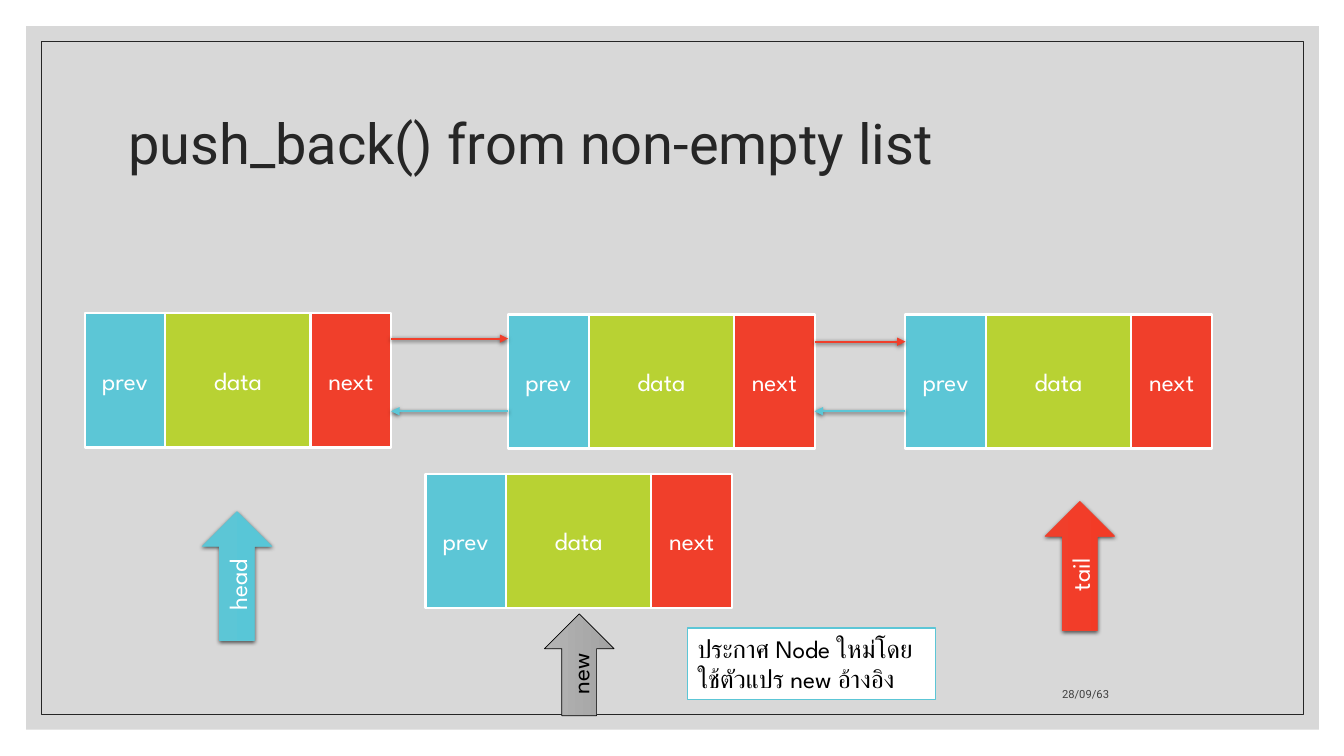
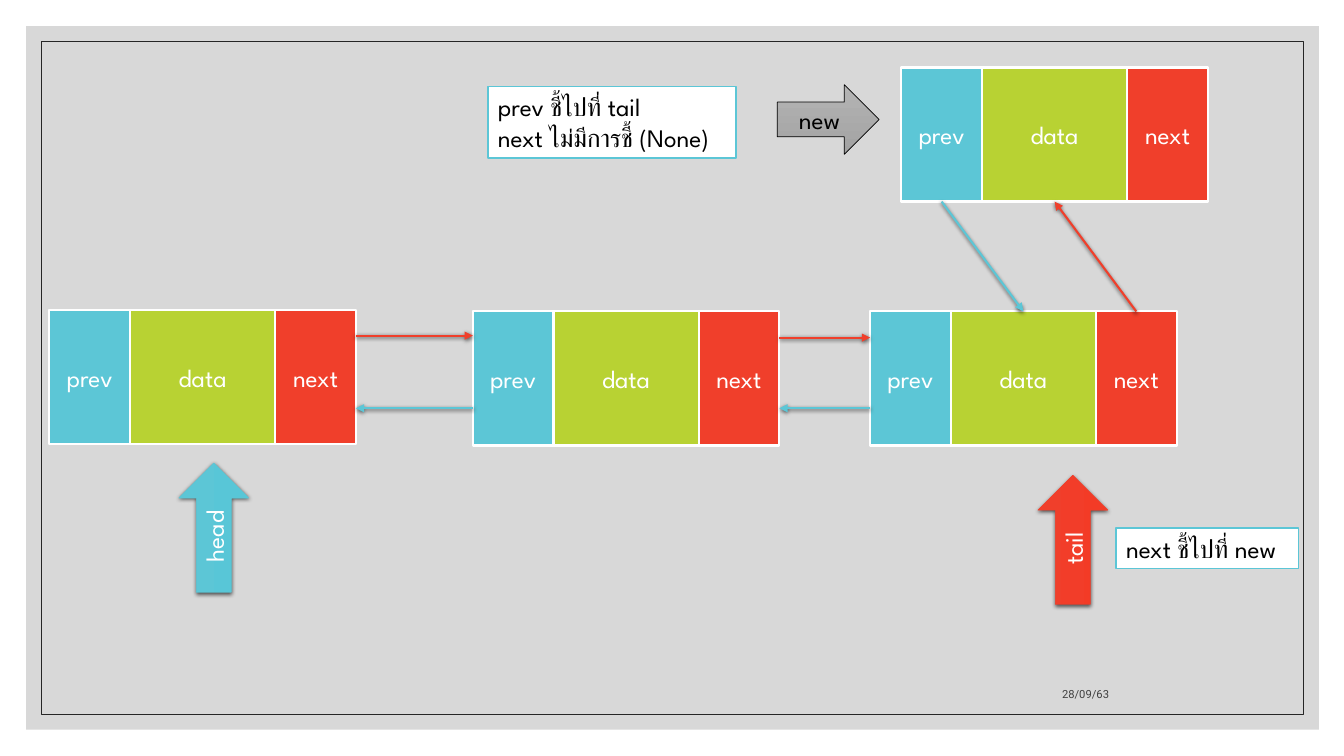
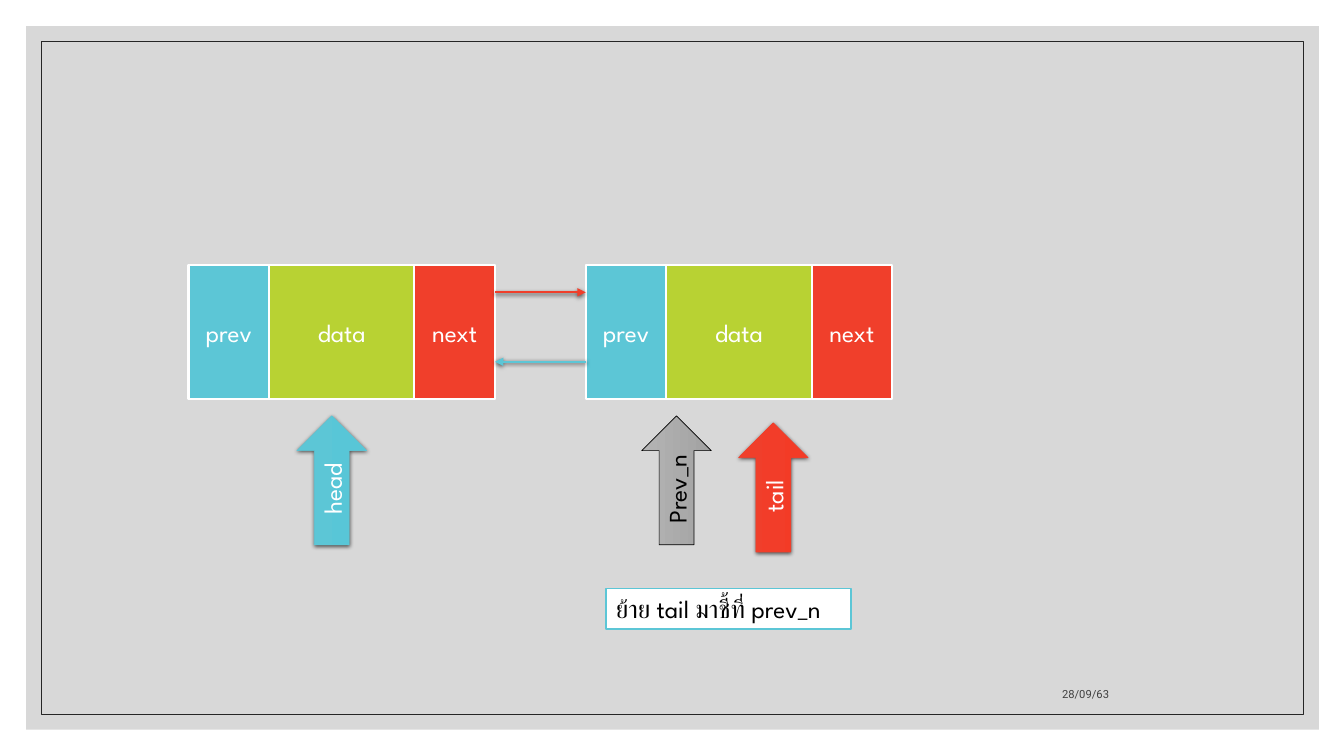
from dataclasses import dataclass

from lxml.etree import SubElement
from pptx import Presentation
from pptx.dml.color import RGBColor as Color
from pptx.enum.shapes import MSO_CONNECTOR as Connector, MSO_SHAPE as Preset
from pptx.enum.text import MSO_ANCHOR as Anchor, MSO_AUTO_SIZE as AutoSize, PP_ALIGN as Align
from pptx.oxml.ns import qn
from pptx.util import Inches, Pt


@dataclass(frozen=True)
class Theme:
    body_font: str = "League Spartan"
    title_font: str = "Roboto"
    title_size: int = 40
    body_size: int = 18
    date_size: int = 8
    panel: str = "BFBFBF"
    ink: str = "262626"
    date_ink: str = "404040"
    black: str = "000000"
    white: str = "FFFFFF"
    cyan: str = "5CC6D6"
    lime: str = "B8D233"
    red: str = "F03F2B"


THEME = Theme()
NODE_CELLS = (("prev", 0.8, THEME.cyan), ("data", 1.44, THEME.lime), ("next", 0.8, THEME.red))
NODE_HEIGHT = 1.33
PREV_DROP = 0.96
POINTERS = {
    "head": {"stops": (THEME.cyan, "58C6D7"), "line": THEME.cyan, "ink": THEME.white, "shadow": True},
    "tail": {"stops": (THEME.red, "F33B26"), "line": THEME.red, "ink": THEME.white, "shadow": True},
    "work": {"stops": ("B4B4B4", "A2A2A2"), "line": THEME.black, "ink": THEME.black, "shadow": False},
}


def rgb(value):
    return Color.from_string(value)


def apply(target, values):
    for name, value in values.items():
        setattr(target, name, value)


def box(left, top, width, height):
    return [Inches(value) for value in (left, top, width, height)]


def write(shape, lines, ink, size=THEME.body_size, font=THEME.body_font, frame=None, paragraph_format=None):
    text_frame = shape.text_frame
    apply(text_frame, {"word_wrap": True, **(frame or {})})
    text_frame.text = "\n".join(lines)
    for paragraph in text_frame.paragraphs:
        apply(paragraph, paragraph_format or {})
        for run in paragraph.runs:
            apply(run.font, {"name": font, "size": Pt(size)})
            run.font.color.rgb = rgb(ink)


def outline(shape, color, width):
    shape.line.color.rgb = rgb(color)
    shape.line.width = Pt(width)


def paint(shape, color):
    shape.fill.solid()
    shape.fill.fore_color.rgb = rgb(color)


def add_preset(shapes, preset, place):
    shape = shapes.add_shape(preset, *box(*place))
    shape.shadow.inherit = False
    return shape


def add_soft_shadow(effects):
    shadow = SubElement(effects, qn("a:outerShdw"), blurRad="38100", dist="12700", dir="5400000", rotWithShape="0")
    color = SubElement(shadow, qn("a:srgbClr"), val=THEME.black)
    SubElement(color, qn("a:alpha"), val="63000")


def move_frame_to_master(slide, master):
    panel = add_preset(slide.shapes, Preset.RECTANGLE, (0.26, 0.26, 12.82, 6.98))
    paint(panel, THEME.panel)
    SubElement(panel.element.find(".//" + qn("a:srgbClr")), qn("a:alpha"), val="60000")
    panel.line.fill.background()
    border = add_preset(slide.shapes, Preset.RECTANGLE, (0.41, 0.41, 12.52, 6.68))
    border.fill.background()
    outline(border, THEME.ink, 0.5)
    for index, shape in enumerate((panel, border)):
        shape.element.find(".//" + qn("p:cNvPr")).set("id", str(100 + index))
        master.shapes.element.insert(2 + index, shape.element)


def add_title(slide, text):
    title = slide.shapes.title
    apply(title, dict(zip(("left", "top", "width", "height"), box(1.17, 0.7, 11, 1.5))))
    write(title, [text], THEME.ink, THEME.title_size, THEME.title_font,
          {"vertical_anchor": Anchor.MIDDLE, "auto_size": AutoSize.NONE},
          {"alignment": Align.LEFT, "line_spacing": 0.9})


def add_date(slide):
    date = slide.shapes.add_textbox(*box(7.94, 6.6, 3.16, 0.4))
    write(date, ["28/09/63"], THEME.date_ink, THEME.date_size, THEME.title_font,
          {"vertical_anchor": Anchor.BOTTOM}, {"alignment": Align.RIGHT})


def add_node(slide, left, top):
    group = slide.shapes.add_group_shape()
    cells = {}
    for name, width, color in NODE_CELLS:
        cell = add_preset(group.shapes, Preset.RECTANGLE, (left, top, width, NODE_HEIGHT))
        paint(cell, color)
        outline(cell, THEME.white, 1.5)
        write(cell, [name], THEME.white, paragraph_format={"alignment": Align.CENTER})
        cells[name] = cell
        left += width
    return cells


def add_arrow(slide, color, start=(0, 0), end=(0, 0)):
    arrow = slide.shapes.add_connector(Connector.STRAIGHT, *start, *end)
    outline(arrow, color, 1.5)
    SubElement(arrow.line._get_or_add_ln(), qn("a:tailEnd"), type="triangle")
    add_soft_shadow(SubElement(arrow.element.spPr, qn("a:effectLst")))
    return arrow


def join_cells(slide, color, source, source_side, target, target_side):
    arrow = add_arrow(slide, color)
    arrow.begin_connect(source, source_side)
    arrow.end_connect(target, target_side)


def add_chain(slide, places, next_drops):
    nodes = [add_node(slide, *place) for place in places]
    for before, after, next_drop in zip(nodes, nodes[1:], next_drops):
        left = before["next"].left + before["next"].width
        right = after["prev"].left
        next_y, prev_y = (after["prev"].top + Inches(drop) for drop in (next_drop, PREV_DROP))
        add_arrow(slide, THEME.red, (left, next_y), (right, next_y))
        add_arrow(slide, THEME.cyan, (right, prev_y), (left, prev_y))
    return nodes


def add_pointer(slide, kind, text, left, top, length=1.28, rotation=270):
    look = POINTERS[kind]
    pointer = add_preset(slide.shapes, Preset.RIGHT_ARROW, (left, top, length, 0.69))
    pointer.rotation = rotation
    pointer.fill.gradient()
    pointer.fill.gradient_angle = 270
    for stop, color in zip(pointer.fill.gradient_stops, look["stops"]):
        stop.color.rgb = rgb(color)
    outline(pointer, look["line"], 0.5)
    if look["shadow"]:
        add_soft_shadow(pointer.element.spPr.find(qn("a:effectLst")))
    write(pointer, [text], look["ink"], paragraph_format={"alignment": Align.CENTER})


def add_note_box(slide, place, *lines):
    note = slide.shapes.add_textbox(*box(*place))
    paint(note, THEME.white)
    outline(note, THEME.cyan, 1)
    write(note, lines, THEME.black, frame={"auto_size": AutoSize.SHAPE_TO_FIT_TEXT})


def fill_push_back(slide):
    add_title(slide, "push_back() from non-empty list")
    add_pointer(slide, "head", "head", 1.71, 5.37)
    add_pointer(slide, "tail", "tail", 10.07, 5.27)
    add_chain(slide, ((0.84, 3.11), (5.04, 3.12), (8.98, 3.12)), (0.24, 0.27))
    add_node(slide, 4.22, 4.7)
    add_pointer(slide, "work", "new", 5.24, 6.25, length=1.01)
    add_note_box(slide, (6.82, 6.23, 2.46, 0.71), "ประกาศ Node ใหม่โดยใช้ตัวแปร new อ้างอิง")


def fill_link_new_node(slide):
    add_pointer(slide, "head", "head", 1.48, 4.89)
    add_pointer(slide, "tail", "tail", 10, 5.01)
    chain = add_chain(slide, ((0.49, 3.08), (4.69, 3.09), (8.63, 3.09)), (0.24, 0.26))
    last = chain[-1]
    new = add_node(slide, 8.94, 0.67)
    add_pointer(slide, "work", "new", 7.71, 0.84, length=1.01, rotation=0)
    join_cells(slide, THEME.cyan, new["prev"], 2, last["data"], 0)
    join_cells(slide, THEME.red, last["next"], 0, new["data"], 2)
    add_note_box(slide, (4.84, 0.86, 2.46, 0.71), "prev ชี้ไปที่ tail", "next ไม่มีการชี้ (None)")
    add_note_box(slide, (11.07, 5.24, 1.81, 0.4), "next ชี้ไปที่ new")


def fill_move_tail(slide):
    add_pointer(slide, "head", "head", 2.65, 4.42)
    add_pointer(slide, "tail", "tail", 7.03, 4.49)
    add_chain(slide, ((1.87, 2.63), (5.81, 2.63)), (0.27,))
    add_pointer(slide, "work", "Prev_n", 6.07, 4.42)
    add_note_box(slide, (6.01, 5.84, 2.43, 0.4), "ย้าย tail มาชี้ที่ prev_n")


def main():
    presentation = Presentation()
    apply(presentation, {"slide_width": Inches(13.33), "slide_height": Inches(7.5)})
    title_only, blank = presentation.slide_layouts[5], presentation.slide_layouts[6]
    pages = ((title_only, fill_push_back), (blank, fill_link_new_node), (blank, fill_move_tail))
    for layout, fill_slide in pages:
        slide = presentation.slides.add_slide(layout)
        add_date(slide)
        fill_slide(slide)
    move_frame_to_master(presentation.slides[0], presentation.slide_master)
    presentation.save("out.pptx")


if __name__ == "__main__":
    main()
